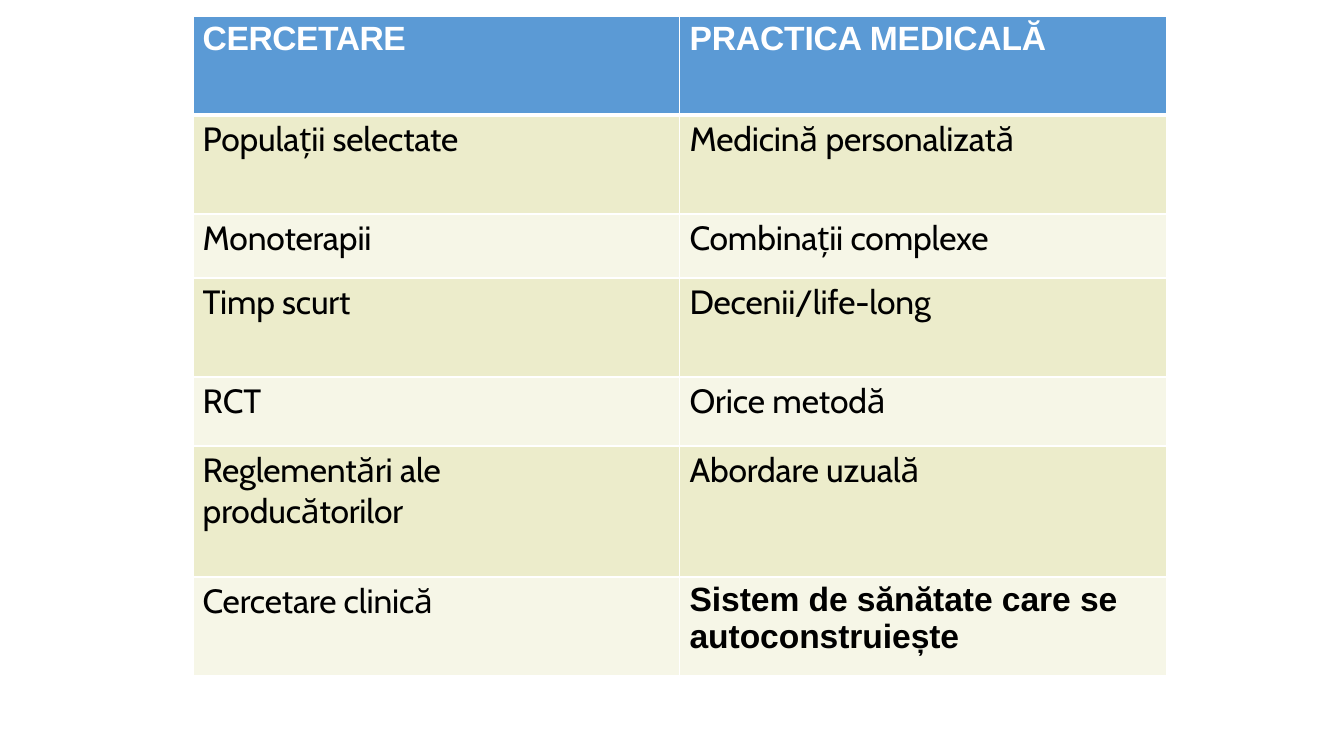
from lxml.etree import SubElement
from pptx import Presentation
from pptx.dml.color import RGBColor
from pptx.oxml.ns import qn
from pptx.util import Pt

WHITE = RGBColor(0xFF, 0xFF, 0xFF)
BLACK = RGBColor(0, 0, 0)
HEADER_BLUE = RGBColor(0x5B, 0x9A, 0xD5)
BAND_DARK = RGBColor(0xEC, 0xEC, 0xCB)
BAND_LIGHT = RGBColor(0xF6, 0xF6, 0xE7)

# Each entry: text and letter spacing in hundredths of a point
COMPARISON = [
    (("CERCETARE", -30), ("PRACTICA MEDICALĂ", -10)),
    (("Populații selectate", -10), ("Medicină personalizată", -10)),
    (("Monoterapii", -10), ("Combinații complexe", -10)),
    (("Timp scurt", -15), ("Decenii/life-long", -10)),
    (("RCT", -10), ("Orice metodă", -5)),
    (("Reglementări ale producătorilor", -10), ("Abordare uzuală", -10)),
    (("Cercetare clinică", -10),
     ("Sistem de sănătate care se\nautoconstruiește", -7)),
]
ROW_HEIGHTS = [70.6, 70.6, 46.1, 70.6, 49, 93.6, 70.6]
COLUMN_WIDTH = 347.8


def write_text(cell, text, *, font, color, bold, spacing):
    cell.text_frame.text = text
    for i, paragraph in enumerate(cell.text_frame.paragraphs):
        paragraph.space_before = Pt(0 if i else 3)
        for run in paragraph.runs:
            run.font.name = font
            run.font.size = Pt(24)
            run.font.bold = bold
            run.font.color.rgb = color
            run.font._element.set("spc", str(spacing))


def draw_borders(cell, widths):
    properties = cell._tc.get_or_add_tcPr()
    for side, width in widths.items():
        line = SubElement(properties, qn(f"a:ln{side}"), w=str(Pt(width)))
        fill = SubElement(line, qn("a:solidFill"))
        SubElement(fill, qn("a:srgbClr"), val=str(WHITE))


prs = Presentation()
prs.slide_width, prs.slide_height = Pt(960), Pt(540)
slide = prs.slides.add_slide(prs.slide_layouts[6])

# Table grid
comparison = slide.shapes.add_table(
    len(COMPARISON), 2, Pt(137.6), Pt(11.6),
    Pt(2 * COLUMN_WIDTH), Pt(sum(ROW_HEIGHTS))).table
comparison.first_row = True
comparison.horz_banding = False
for column in comparison.columns:
    column.width = Pt(COLUMN_WIDTH)
for row, height in zip(comparison.rows, ROW_HEIGHTS):
    row.height = Pt(height)

# Header and banded rows
for r, entries in enumerate(COMPARISON):
    is_header = r == 0
    band = HEADER_BLUE if is_header else BAND_DARK if r % 2 else BAND_LIGHT
    for c, (text, spacing) in enumerate(entries):
        cell = comparison.cell(r, c)
        cell.margin_left, cell.margin_top = Pt(7.2), Pt(2.9)
        cell.margin_right = cell.margin_bottom = Pt(0)
        draw_borders(cell, {"L": 1.5, "R": 1.5, "T": 3 if r == 1 else 1.5,
                            "B": 3 if is_header else 1.5})
        cell.fill.solid()
        cell.fill.fore_color.rgb = band
        is_conclusion = (r, c) == (len(COMPARISON) - 1, 1)
        strong = is_header or is_conclusion
        write_text(cell, text, font="Arial" if strong else "Cabin",
                   color=WHITE if is_header else BLACK,
                   bold=strong, spacing=spacing)

# The manufacturers' rules wrap early, onto a second line
comparison.cell(5, 0).margin_right = Pt(72)

prs.save("out.pptx")
